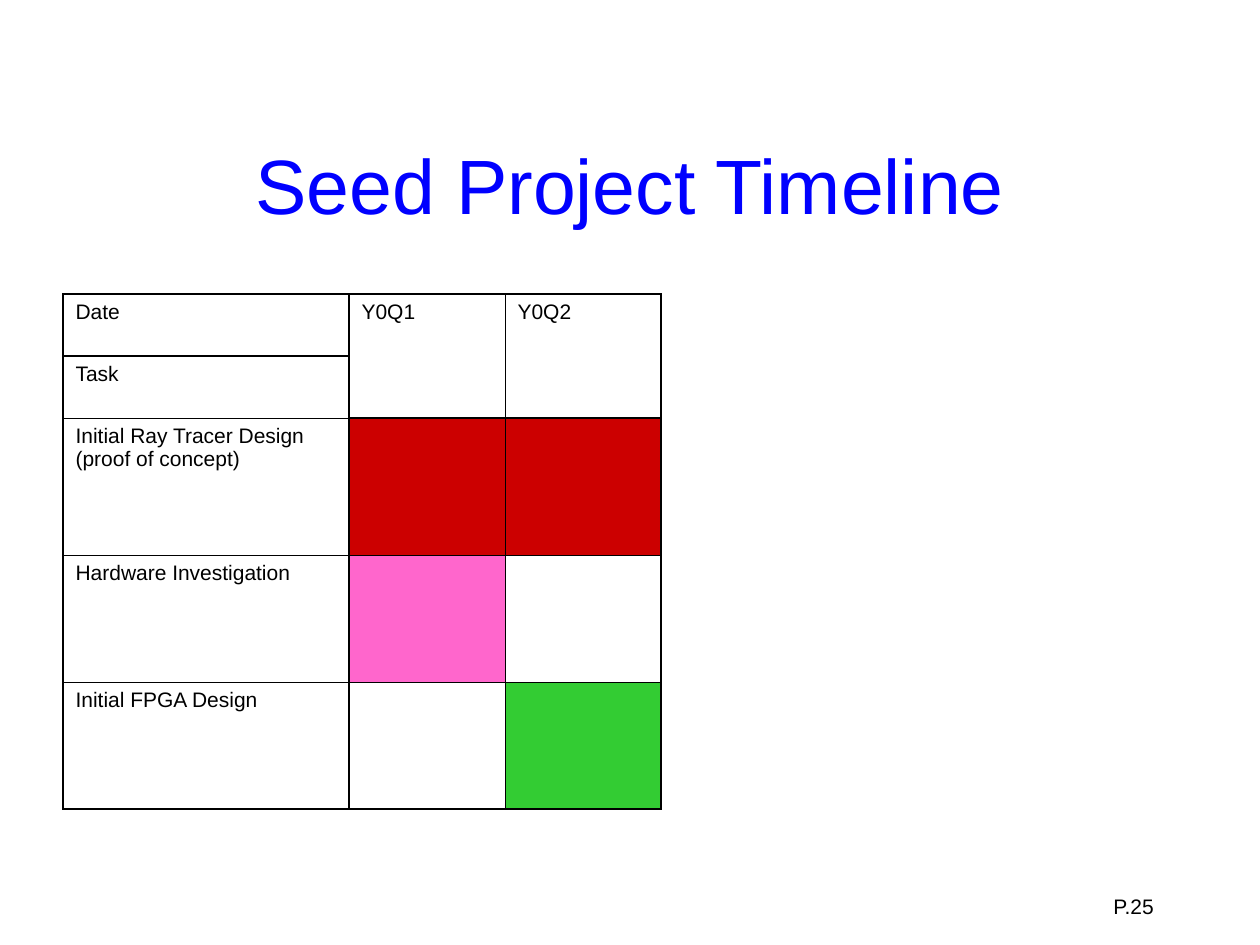
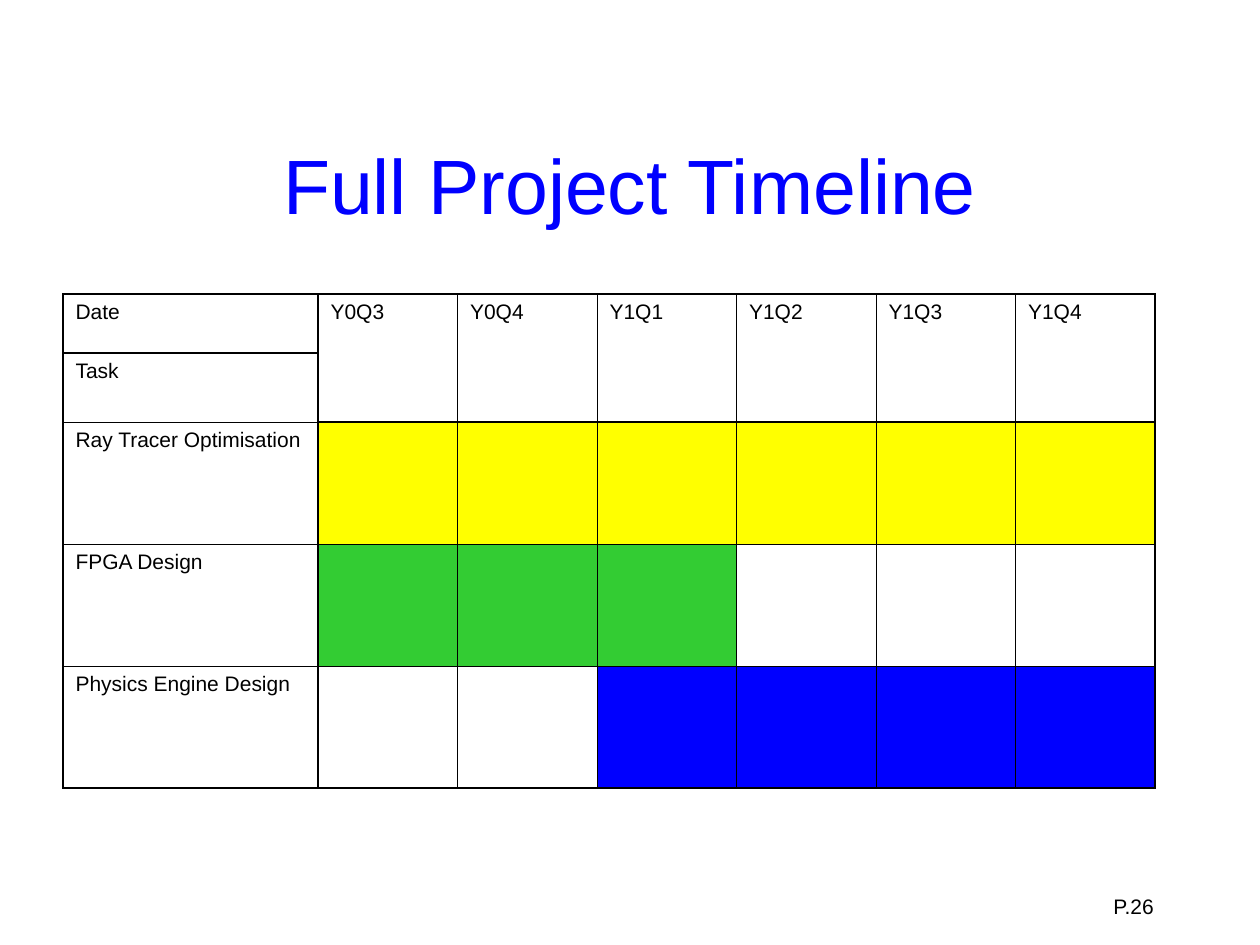
from dataclasses import dataclass

from lxml import etree
from pptx import Presentation
from pptx.dml.color import RGBColor
from pptx.enum.text import MSO_ANCHOR, PP_ALIGN
from pptx.oxml.ns import qn
from pptx.util import Emu, Pt

LEFT, CENTER = PP_ALIGN.LEFT, PP_ALIGN.CENTER
TOP, MIDDLE = MSO_ANCHOR.TOP, MSO_ANCHOR.MIDDLE
SCALE = 914400 / 126


@dataclass(frozen=True)
class Theme:
    font: str = "Arial"
    ink: str = "000000"
    title: str = "0000FF"
    red: str = "CC0000"
    pink: str = "FF66CC"
    green: str = "33CC33"
    yellow: str = "FFFF00"
    blue: str = "0000FF"
    large: int = 44
    small: int = 12
    thick: float = 1.08
    thin: float = 0.45


THEME = Theme()


def px(count):
    return Emu(round(count * SCALE))


def style(para, size, color, align=LEFT):
    para.alignment = align
    for run in para.runs:
        run.font.name = THEME.font
        run.font.size = Pt(size)
        run.font.color.rgb = RGBColor.from_string(color)


def add_text(slide, text, area, size, color, align=LEFT, anchor=TOP):
    frame = slide.shapes.add_textbox(*map(px, area)).text_frame
    frame.word_wrap = True
    frame.vertical_anchor = anchor
    frame.text = text
    style(frame.paragraphs[0], size, color, align)


def add_edge(cell, side, heavy):
    props = cell._tc.get_or_add_tcPr()
    width = Pt(THEME.thick if heavy else THEME.thin)
    line = etree.SubElement(props, qn(f"a:ln{side}"), w=str(width))
    fill = etree.SubElement(line, qn("a:solidFill"))
    etree.SubElement(fill, qn("a:srgbClr"), val=THEME.ink)


def frame_cell(cell, row, col, rows, cols):
    label = col == 0
    add_edge(cell, "L", col <= 1)
    add_edge(cell, "R", label or col == cols - 1)
    add_edge(cell, "T", row <= 1 or (row == 2 and not label))
    add_edge(cell, "B", row in (0, rows - 1) or (row == 1 and not label))


def write_cell(cell, text):
    cell.text = text
    style(cell.text_frame.paragraphs[0], THEME.small, THEME.ink)


def add_plan(slide, width, label, heights, dates, tasks):
    rows, cols = len(heights), len(dates) + 1
    shape = slide.shapes.add_table(
        rows, cols, px(63), px(294), px(width), px(sum(heights)))
    table = shape.table
    table.first_row = table.horz_banding = False
    for col, column in enumerate(table.columns):
        column.width = px((width - label) / len(dates) if col else label)
    for row, height in enumerate(heights):
        table.rows[row].height = px(height)
        for col in range(cols):
            cell = table.cell(row, col)
            frame_cell(cell, row, col, rows, cols)
            cell.fill.background()
    write_cell(table.cell(0, 0), "Date")
    write_cell(table.cell(1, 0), "Task")
    for col, date in enumerate(dates, 1):
        table.cell(0, col).merge(table.cell(1, col))
        write_cell(table.cell(0, col), date)
    for row, (task, color, first, last) in enumerate(tasks, 2):
        write_cell(table.cell(row, 0), task)
        for col in range(first, last + 1):
            fill = table.cell(row, col).fill
            fill.solid()
            fill.fore_color.rgb = RGBColor.from_string(color)


def add_slide(deck, title, page):
    slide = deck.slides.add_slide(deck.slide_layouts[6])
    add_text(slide, f"P.{page}", (1101, 887, 140, 38), THEME.small, THEME.ink)
    add_text(slide, title, (63, 105, 1134, 157), THEME.large, THEME.title,
             CENTER, MIDDLE)
    return slide


def main():
    deck = Presentation()
    deck.slide_width, deck.slide_height = px(1260), px(945)

    seed = add_slide(deck, "Seed Project Timeline", 25)
    add_plan(seed, 598, 286, (62, 62, 137, 127, 127), ("Y0Q1", "Y0Q2"), (
        ("Initial Ray Tracer Design (proof of concept)", THEME.red, 1, 2),
        ("Hardware Investigation", THEME.pink, 1, 1),
        ("Initial FPGA Design", THEME.green, 2, 2),
    ))

    full = add_slide(deck, "Full Project Timeline", 26)
    dates = ("Y0Q3", "Y0Q4", "Y1Q1", "Y1Q2", "Y1Q3", "Y1Q4")
    add_plan(full, 1092, 255, (59, 69, 122, 122, 122), dates, (
        ("Ray Tracer Optimisation", THEME.yellow, 1, 6),
        ("FPGA Design", THEME.green, 1, 3),
        ("Physics Engine Design", THEME.blue, 3, 6),
    ))

    deck.save("out.pptx")


if __name__ == "__main__":
    main()
